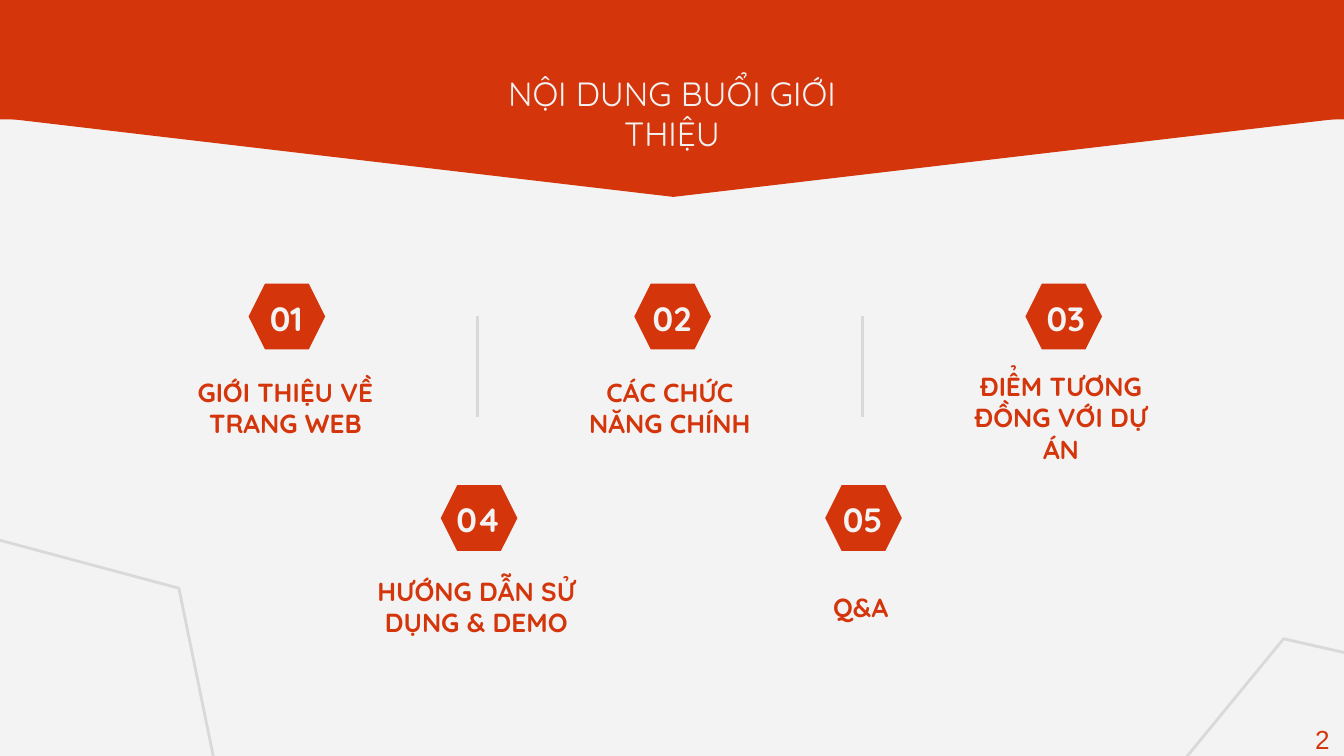
from lxml import etree
from pptx import Presentation
from pptx import util as u
from pptx.dml.color import RGBColor
from pptx.enum import shapes, text
from pptx.oxml.ns import qn

RED = RGBColor(0xD4, 0x35, 0x0B)
PALE = RGBColor(0xF3, 0xF3, 0xF3)
GREY = RGBColor(0xD9, 0xD9, 0xD9)
HEX = shapes.MSO_SHAPE.HEXAGON

ITEMS = [
    ("01", "GIỚI THIỆU VỀ TRANG WEB", (1.85, 2.11), (1.72, 2.2), (1.26, 2.72)),
    ("02", "CÁC CHỨC NĂNG CHÍNH", (4.72, 2.11), (4.59, 2.2), (4.12, 2.72)),
    ("03", "ĐIỂM TƯƠNG ĐỒNG VỚI DỰ ÁN", (7.63, 2.11), (7.52, 2.2), (7.03, 2.79)),
    ("04", "HƯỚNG DẪN SỬ DỤNG & DEMO", (3.28, 3.61), (3.15, 3.7), (2.68, 4.2)),
    ("05", "Q&A", (6.14, 3.61), (6.01, 3.7), (5.54, 4.2)),
]


def inches(*values):
    return [u.Inches(v) for v in values]


def write(sp, words, size=14, color=RED, bold=False, font="Quicksand",
          anchor=text.MSO_ANCHOR.MIDDLE):
    tf = sp.text_frame
    tf.word_wrap = True
    tf.auto_size = text.MSO_AUTO_SIZE.NONE
    tf.vertical_anchor = anchor
    tf.margin_left = tf.margin_right = u.Inches(0.1)
    tf.margin_top = tf.margin_bottom = u.Inches(0.1)
    p = tf.paragraphs[0]
    p.alignment = text.PP_ALIGN.CENTER
    r = p.add_run()
    r.text = words
    r.font.name = font
    r.font.size = u.Pt(size)
    r.font.bold = bold
    r.font.color.rgb = color


class Deck:
    def __init__(self, prs):
        self.s = prs.slides.add_slide(prs.slide_layouts[5])
        fill = self.s.background.fill
        fill.solid()
        fill.fore_color.rgb = PALE

    def shape(self, kind, at, fill=None, line=None, width=1.5, rotation=0):
        sp = self.s.shapes.add_shape(kind, *inches(*at))
        sp.shadow.inherit = False
        sp.rotation = rotation
        if fill is None:
            sp.fill.background()
        else:
            sp.fill.solid()
            sp.fill.fore_color.rgb = fill
        if line is None:
            sp.line.fill.background()
        else:
            sp.line.color.rgb = line
            sp.line.width = u.Pt(width)

    def title(self, words, at):
        sp = self.s.shapes.title
        sp.left, sp.top, sp.width, sp.height = inches(*at)
        sp.element.getparent().append(sp.element)
        write(sp, words, size=18, color=PALE, anchor=text.MSO_ANCHOR.TOP)

    def label(self, words, at, **style):
        write(self.s.shapes.add_textbox(*inches(*at)), words, **style)

    def divider(self, x, top, bottom):
        line = self.s.shapes.add_connector(
            shapes.MSO_CONNECTOR.STRAIGHT, *inches(x, top, x, bottom))
        line.line.color.rgb = GREY
        line.line.width = u.Pt(1.5)
        etree.SubElement(line.element.spPr, qn("a:effectLst"))


def main():
    prs = Presentation()
    prs.slide_width = u.Inches(10)
    prs.slide_height = prs.slide_width * 9 // 16
    deck = Deck(prs)

    deck.shape(shapes.MSO_SHAPE.ISOSCELES_TRIANGLE, (-0.01, 0.87, 10.04, 0.59),
               fill=RED, line=RED, width=0.75, rotation=180)
    deck.shape(shapes.MSO_SHAPE.RECTANGLE, (-0.01, -0.04, 10.04, 0.93), fill=RED)
    deck.title("NỘI DUNG BUỔI GIỚI THIỆU", (3.37, 0.44, 3.26, 0.75))

    for x in (3.55, 6.42):
        deck.divider(x, 2.35, 3.1)
    for number, topic, badge, number_at, topic_at in ITEMS:
        deck.shape(HEX, (*badge, 0.57, 0.49), fill=RED)
        deck.label(number, (*number_at, 0.82, 0.33), size=18, color=PALE, bold=True)
        deck.label(topic, (*topic_at, 1.73, 0.63), bold=True)

    for x, y, angle in ((-1.56, 4.08, 15), (8.29, 5.05, 309.4)):
        deck.shape(HEX, (x, y, 3.23, 2.53), line=GREY, rotation=angle)
    deck.label("2", (9.68, 5.28, 0.32, 0.34), font="Arial",
               anchor=text.MSO_ANCHOR.TOP)
    prs.save("out.pptx")


if __name__ == "__main__":
    main()
